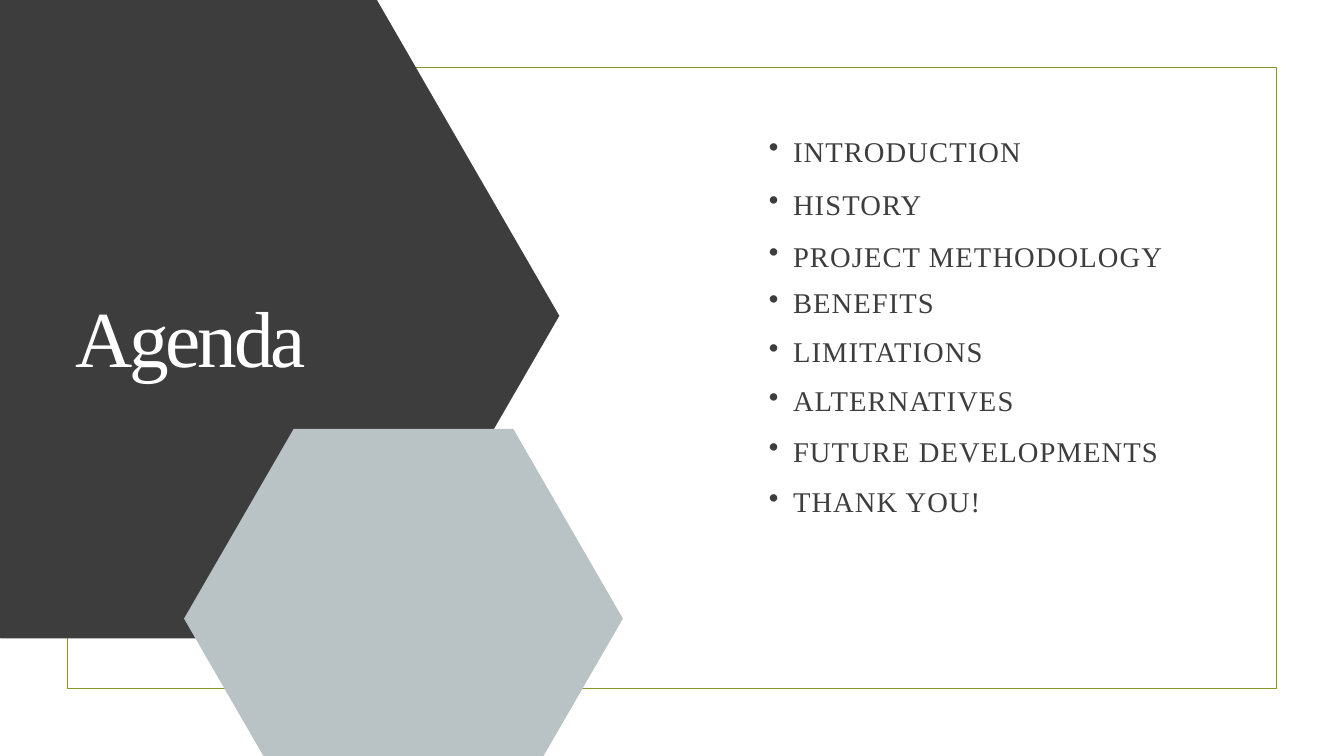
from dataclasses import dataclass

import pptx
import pptx.util
import pptx.dml.color
import pptx.enum.shapes
import pptx.enum.text
import pptx.oxml.ns
from lxml import etree

Pt = pptx.util.Pt
RGB = pptx.dml.color.RGBColor


@dataclass(frozen=True)
class Theme:
    dark: RGB = RGB(0x3D, 0x3D, 0x3D)
    pale: RGB = RGB(0xB9, 0xC2, 0xC4)
    accent: RGB = RGB(0x83, 0x99, 0x2A)
    light: RGB = RGB(0xFF, 0xFF, 0xFF)
    font: str = "Times New Roman"
    title_size: float = 85
    item_size: float = 30.6
    title_leading: float = 102
    item_leading: float = 42.9
    title_tracking: float = -3.4
    item_tracking: float = 1.2


THEME = Theme()

# Each topic with its distance from the top of the agenda box, in points
TOPICS = [
    ("INTRODUCTION", 0),
    ("HISTORY", 56.2),
    ("PROJECT METHODOLOGY", 112.3),
    ("BENEFITS", 162),
    ("LIMITATIONS", 214.6),
    ("ALTERNATIVES", 267.1),
    ("FUTURE DEVELOPMENTS", 321.1),
    ("THANK YOU!", 375.1),
]


def apply_format(target, values):
    for name, value in values.items():
        setattr(target, name, value)


def add_frame(slide, box):
    shape = slide.shapes.add_shape(
        pptx.enum.shapes.MSO_SHAPE.RECTANGLE, *map(Pt, box))
    shape.shadow.inherit = False
    shape.fill.background()
    shape.line.color.rgb = THEME.accent
    shape.line.width = Pt(1.25)


def add_hexagon(slide, box, color):
    """Add a hexagon whose slanted sides each span a quarter of its width."""
    shape = slide.shapes.add_shape(
        pptx.enum.shapes.MSO_SHAPE.HEXAGON, *map(Pt, box))
    width, height = box[2:]
    shape.adjustments[0] = width / 4 / height
    shape.shadow.inherit = False
    shape.fill.solid()
    shape.fill.fore_color.rgb = color
    shape.line.fill.background()


def add_text(slide, box, text, size, color, leading, tracking):
    """Add a one-line text box without margins and return its paragraph."""
    frame = slide.shapes.add_textbox(*map(Pt, box)).text_frame
    apply_format(frame, {
        "margin_left": 0, "margin_top": 0,
        "margin_right": 0, "margin_bottom": 0,
        "word_wrap": True,
        "auto_size": pptx.enum.text.MSO_AUTO_SIZE.SHAPE_TO_FIT_TEXT,
    })
    paragraph = frame.paragraphs[0]
    paragraph.line_spacing = Pt(leading)
    run = paragraph.add_run()
    run.text = text
    apply_format(run.font, {"name": THEME.font, "size": Pt(size)})
    run.font.color.rgb = color
    run._r.get_or_add_rPr().set("spc", str(round(tracking * 100)))
    return paragraph


def add_bullet(paragraph, margin, hanging):
    paragraph.level = 1
    properties = paragraph._p.get_or_add_pPr()
    properties.set("marL", str(Pt(margin)))
    properties.set("indent", str(-Pt(hanging)))
    bullet = etree.SubElement(properties, pptx.oxml.ns.qn("a:buChar"))
    bullet.set("char", "•")


def add_title(slide, box):
    add_text(slide, box, "Agenda", THEME.title_size, THEME.light,
             THEME.title_leading, THEME.title_tracking)


def add_agenda(slide, box):
    left, top, width, row_height = box
    for topic, offset in TOPICS:
        paragraph = add_text(
            slide, (left, top + offset, width, row_height), topic,
            THEME.item_size, THEME.dark,
            THEME.item_leading, THEME.item_tracking)
        add_bullet(paragraph, margin=51.84, hanging=25.92)


def main():
    presentation = pptx.Presentation()
    apply_format(presentation, {"slide_width": Pt(1440), "slide_height": Pt(810)})
    slide = presentation.slides.add_slide(presentation.slide_layouts[6])
    add_frame(slide, (72, 72, 1296, 666))
    add_hexagon(slide, (-199, -7.2, 798.3, 691.2), THEME.dark)
    add_hexagon(slide, (197.2, 459.4, 470.2, 406.8), THEME.pale)
    add_title(slide, (80.6, 308.9, 351.4, 113.8))
    add_agenda(slide, (797.8, 137.5, 514.8, 46.1))
    presentation.save("out.pptx")


if __name__ == "__main__":
    main()
